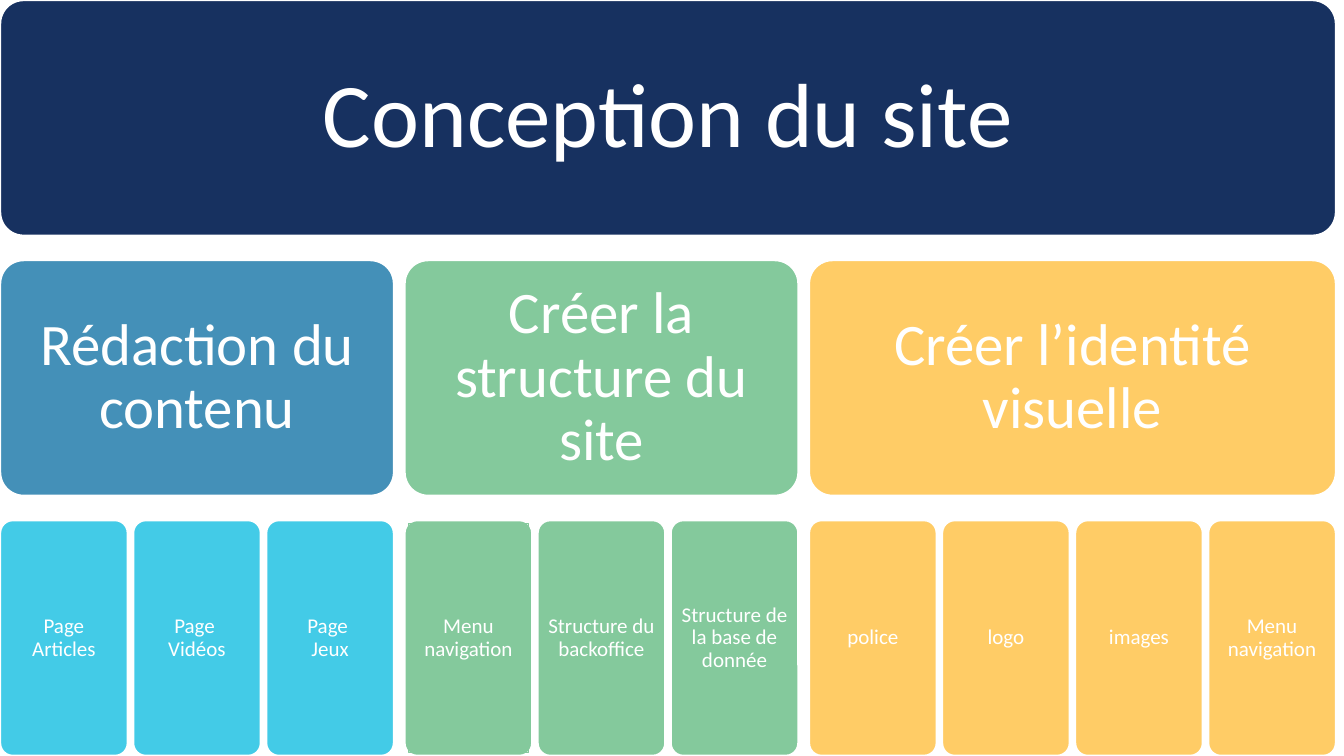
import pptx
import pptx.util
import pptx.dml.color
import pptx.enum.shapes
import pptx.enum.text

Pt = pptx.util.Pt
SHAPES = pptx.enum.shapes.MSO_SHAPE

COLORS = {
    "white": "FFFFFF",
    "navy": "173160",
    "blue": "4490B8",
    "cyan": "43CBE7",
    "green": "84C99C",
    "yellow": "FFCC66",
}

ROW_HEIGHT = 168.5
ROW_PITCH = 185.75
LEAF_WIDTH = 91.4
LEAF_GAP = 3.65
GROUP_GAP = 7.4
CORNER = 0.1
FRAME_INSET = 2.7

# heading, heading colour, leaf colour, leaves
GROUPS = [
    ("Rédaction du contenu", "blue", "cyan",
     ["Page Articles", "Page \nVidéos", "Page \nJeux"]),
    ("Créer la structure du site", "green", "green",
     ["Menu navigation", "Structure du backoffice", "Structure de la base de donnée"]),
    ("Créer l’identité visuelle", "yellow", "yellow",
     ["police", "logo", "images", "Menu navigation"]),
]
FRAMED_LEAF = ("green", "Menu navigation")


def rgb(name):
    return pptx.dml.color.RGBColor.from_string(COLORS[name])


def write_text(shape, text, size, inset, color="white", font="Calibri"):
    frame = shape.text_frame
    frame.word_wrap = True
    frame.vertical_anchor = pptx.enum.text.MSO_ANCHOR.MIDDLE
    frame.margin_left = frame.margin_right = Pt(inset)
    frame.margin_top = frame.margin_bottom = Pt(inset)
    frame.text = text
    for paragraph in frame.paragraphs:
        paragraph.alignment = pptx.enum.text.PP_ALIGN.CENTER
        paragraph.line_spacing = 0.9
        for run in paragraph.runs:
            run.font.name = font
            run.font.size = Pt(size)
            run.font.color.rgb = rgb(color)


def add_box(slide, kind, left, top, width, height, fill=None, line="white", line_width=1.75):
    shape = slide.shapes.add_shape(kind, Pt(left), Pt(top), Pt(width), Pt(height))
    shape.shadow.inherit = False
    if fill:
        shape.fill.solid()
        shape.fill.fore_color.rgb = rgb(fill)
    else:
        shape.fill.background()
    shape.line.color.rgb = rgb(line)
    shape.line.width = Pt(line_width)
    return shape


def add_card(slide, left, top, width, fill):
    card = add_box(slide, SHAPES.ROUNDED_RECTANGLE, left, top, width, ROW_HEIGHT, fill)
    card.adjustments[0] = CORNER
    return card


def add_leaf(slide, left, top, text, color):
    target = add_card(slide, left, top, LEAF_WIDTH, color)
    if (color, text) == FRAMED_LEAF:
        target = add_box(slide, SHAPES.RECTANGLE, left + FRAME_INSET, top + FRAME_INSET,
                         LEAF_WIDTH - 2 * FRAME_INSET, ROW_HEIGHT - 2 * FRAME_INSET,
                         line=color, line_width=0.75)
    write_text(target, text, size=15, inset=4.2)


def group_width(leaves):
    return len(leaves) * (LEAF_WIDTH + LEAF_GAP) - LEAF_GAP


def add_group(slide, left, top, heading, heading_color, leaf_color, leaves):
    """Place a heading card with its leaves in the row below it."""
    card = add_card(slide, left, top, group_width(leaves), heading_color)
    write_text(card, heading, size=42, inset=12)
    for index, leaf in enumerate(leaves):
        add_leaf(slide, left + index * (LEAF_WIDTH + LEAF_GAP), top + ROW_PITCH, leaf, leaf_color)


def add_hierarchy(slide, left, top):
    widths = [group_width(leaves) for *_, leaves in GROUPS]
    total_width = sum(widths) + GROUP_GAP * (len(GROUPS) - 1)
    title = add_card(slide, left, top, total_width, "navy")
    write_text(title, "Conception du site", size=65, inset=19.6)
    for group, width in zip(GROUPS, widths):
        add_group(slide, left, top + ROW_PITCH, *group)
        left += width + GROUP_GAP


def main():
    presentation = pptx.Presentation()
    presentation.slide_width = Pt(960)
    presentation.slide_height = Pt(540)
    slide = presentation.slides.add_slide(presentation.slide_layouts[6])
    add_hierarchy(slide, 0, 0)
    presentation.save("out.pptx")


if __name__ == "__main__":
    main()
